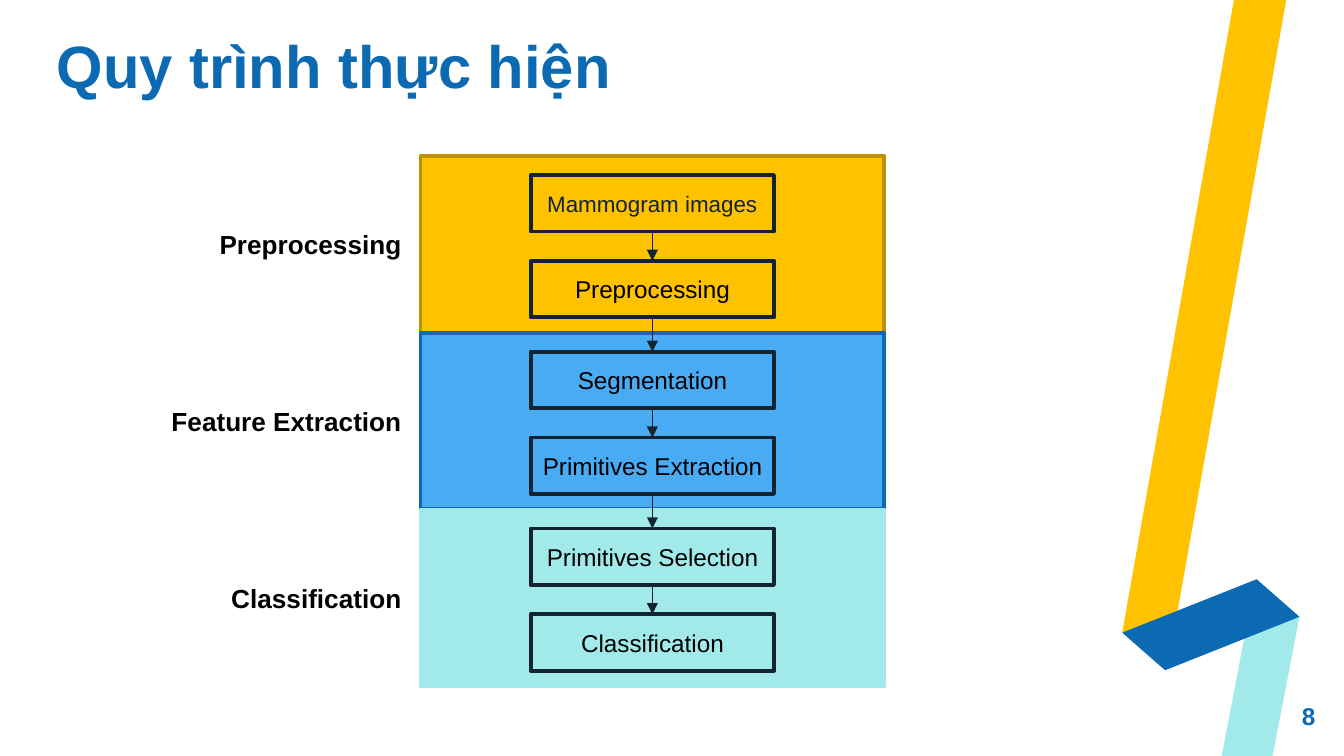
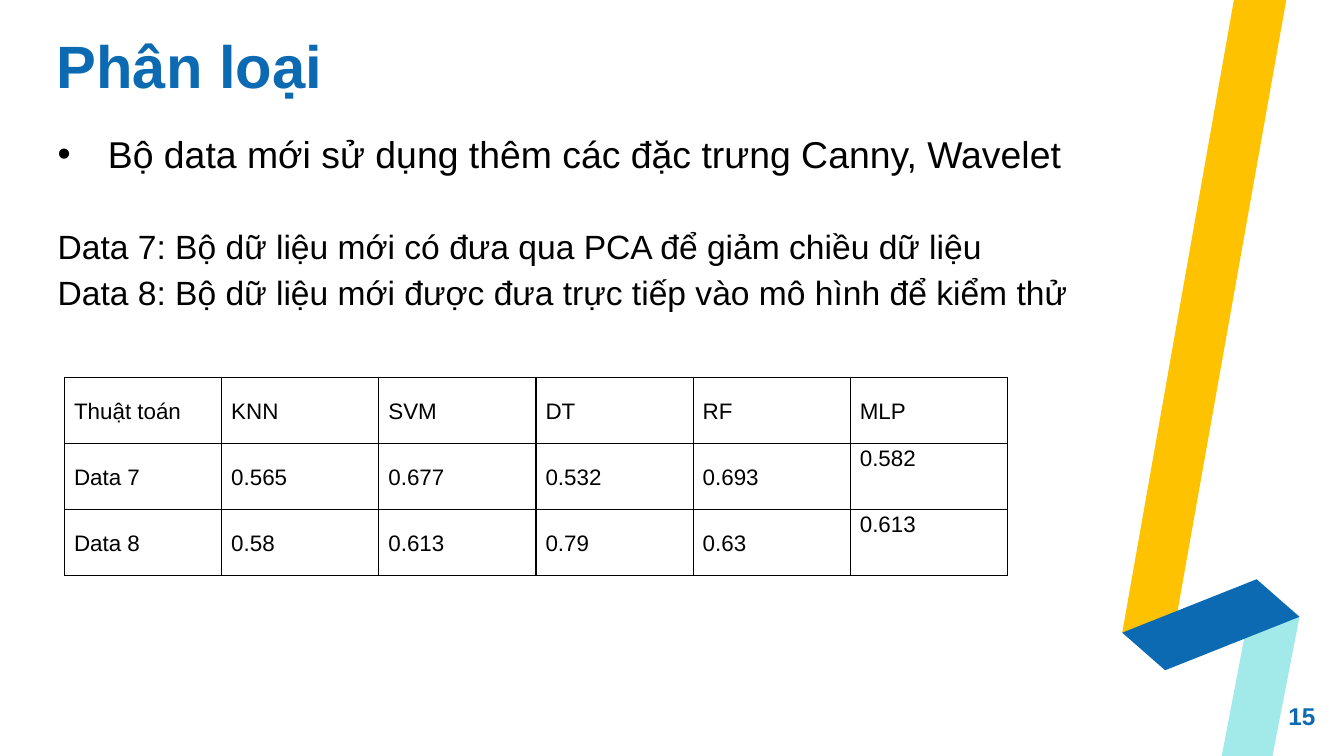
"""Builds two slides: a processing pipeline and a table of classification results."""
from collections import namedtuple

from lxml import etree
from pptx import Presentation
from pptx import util as u
from pptx.dml.color import RGBColor
from pptx.enum import shapes, text
from pptx.oxml import ns

COLORS = {
    "yellow": "FEC200", "ochre": "BC9000", "blue": "0B6AB1", "sky": "49ABF4",
    "aqua": "A2EAE9", "ink": "122431", "black": "000000",
}
FONT = "Arial"
ALIGN = text.PP_ALIGN
ANCHOR = text.MSO_ANCHOR
Box = namedtuple("Box", "x y w h")

SLIDE = Box(0, 0, 25.4, 14.29)
TITLE = Box(1.07, 0.81, 16.48, 1.09)
NUMBER = Box(23.34, 12.98, 1.52, 1.09)
RIBBON = Box(21.21, 0, 3.35, 14.29)
RIBBON_BANDS = [
    ("yellow", [(211, 0), (310, 0), (104, 1158), (0, 1196)]),
    ("aqua", [(188, 1429), (231, 1204), (335, 1166), (284, 1429)]),
    ("blue", [(0, 1196), (254, 1095), (335, 1166), (81, 1267)]),
]

PIPELINE = Box(2.97, 2.95, 13.74, 10.02)
STAGES = [
    ("Preprocessing", "yellow", "ochre",
     [("Mammogram images", 12, "ink"), ("Preprocessing", 13, "black")]),
    ("Feature Extraction", "sky", "blue",
     [("Segmentation", 13, "black"), ("Primitives Extraction", 13, "black")]),
    ("Classification", "aqua", "aqua",
     [("Primitives Selection", 13, "black"), ("Classification", 13, "black")]),
]

NOTES = Box(0.84, 2.36, 22.07, 4.1)
BULLET = "Bộ data mới sử dụng thêm các đặc trưng Canny, Wavelet"
DATASETS = [
    "Data 7: Bộ dữ liệu mới có đưa qua PCA để giảm chiều dữ liệu",
    "Data 8: Bộ dữ liệu mới được đưa trực tiếp vào mô hình để kiểm thử",
]
RESULTS = Box(1.22, 7.14, 17.82, 3.74)
SCORES = [
    ["Thuật toán", "KNN", "SVM", "DT", "RF", "MLP"],
    ["Data 7", "0.565", "0.677", "0.532", "0.693", "0.582"],
    ["Data 8", "0.58", "0.613", "0.79", "0.63", "0.613"],
]


def rgb(name):
    """Return a named colour."""
    return RGBColor.from_string(COLORS[name])


def emu(box):
    """Convert a box in centimetres to lengths."""
    return [u.Cm(v) for v in box]


def style(p, size, color="black", bold=False, align=ALIGN.LEFT, spacing=None):
    """Format a paragraph and its runs."""
    p.alignment = align
    p.line_spacing = spacing
    for r in p.runs:
        r.font.name, r.font.size, r.font.bold = FONT, u.Pt(size), bold
        r.font.color.rgb = rgb(color)


def set_frame(tf, anchor=ANCHOR.TOP, inset=0):
    """Set wrapping, anchor and equal insets of a text frame."""
    tf.word_wrap = True
    tf.vertical_anchor = anchor
    tf.margin_left = tf.margin_right = u.Cm(inset)
    tf.margin_top = tf.margin_bottom = u.Cm(inset / 2)


def add_text(s, box, content, anchor, *fmt, **kw):
    """Add a one-paragraph text box without insets."""
    tf = s.shapes.add_textbox(*emu(box)).text_frame
    set_frame(tf, anchor)
    tf.text = content
    style(tf.paragraphs[0], *fmt, **kw)


def add_rect(s, box, line, fill=None):
    """Add an outlined rectangle, filled if a colour is given."""
    sp = s.shapes.add_shape(shapes.MSO_SHAPE.RECTANGLE, *emu(box))
    sp.shadow.inherit = False
    if fill:
        sp.fill.solid()
        sp.fill.fore_color.rgb = rgb(fill)
    else:
        sp.fill.background()
    sp.line.color.rgb = rgb(line)
    sp.line.width = u.Pt(2)
    return sp


def add_arrow(s, start, end):
    """Join the bottom of one shape to the top of the next with an arrow."""
    c = s.shapes.add_connector(shapes.MSO_CONNECTOR.STRAIGHT, 0, 0, 0, 0)
    c.begin_connect(start, 2)
    c.end_connect(end, 0)
    c.line.color.rgb = rgb("ink")
    c.line.width = u.Pt(0.75)
    etree.SubElement(c.line._get_or_add_ln(), ns.qn("a:tailEnd"), type="triangle")
    etree.SubElement(c._element.spPr, ns.qn("a:effectLst"))


def add_ribbon(s, box):
    """Draw the folded ribbon along the right edge."""
    for color, points in RIBBON_BANDS:
        fb = s.shapes.build_freeform(*points[0], scale=u.Cm(0.01))
        fb.add_line_segments(points[1:], close=True)
        sp = fb.convert_to_shape(u.Cm(box.x), u.Cm(box.y))
        sp.shadow.inherit = False
        sp.fill.solid()
        sp.fill.fore_color.rgb = rgb(color)
        sp.line.fill.background()


def add_base(prs, title, number):
    """Add a slide with ribbon, title and number."""
    s = prs.slides.add_slide(prs.slide_layouts[6])
    add_ribbon(s, RIBBON)
    add_text(s, NUMBER, str(number), ANCHOR.MIDDLE, 13, "blue", True, align=ALIGN.RIGHT)
    add_text(s, TITLE, title, ANCHOR.BOTTOM, 32, "blue", True, spacing=0.8)
    return s


def add_pipeline(s, box):
    """Stack the stages, label them at the left and chain their steps."""
    stage_w, label_w, step_w, step_h = 8.76, 4.62, 4.6, 1.07
    stage_x = box.x + box.w - stage_w
    stage_h = box.h / len(STAGES)
    for i, (label, fill, line, _) in enumerate(STAGES):
        y = box.y + i * stage_h
        add_rect(s, Box(stage_x, y, stage_w, stage_h), line, fill)
        add_text(s, Box(box.x, y, label_w, stage_h), label, ANCHOR.MIDDLE,
                 14, bold=True, align=ALIGN.RIGHT)
    steps = []
    for i, stage in enumerate(STAGES):
        for offset, (name, size, color) in zip((0.36, 1.98), stage[-1]):
            sp = add_rect(s, Box(stage_x + (stage_w - step_w) / 2,
                                 box.y + i * stage_h + offset, step_w, step_h), "ink")
            set_frame(sp.text_frame, ANCHOR.MIDDLE)
            sp.text_frame.text = name
            style(sp.text_frame.paragraphs[0], size, color, align=ALIGN.CENTER)
            steps.append(sp)
    for start, end in zip(steps, steps[1:]):
        add_arrow(s, start, end)


def add_notes(s, box):
    """Write the bullet and the descriptions of the datasets."""
    tf = s.shapes.add_textbox(*emu(box)).text_frame
    set_frame(tf, inset=0.25)
    p = tf.paragraphs[0]
    p.text = BULLET
    style(p, 20)
    p.space_after = u.Pt(23)
    pPr = p._p.get_or_add_pPr()
    pPr.set("marL", str(u.Cm(0.95)))
    pPr.set("indent", str(-u.Cm(0.95)))
    etree.SubElement(pPr, ns.qn("a:buFont"), typeface=FONT)
    etree.SubElement(pPr, ns.qn("a:buChar"), char="•")
    for line in DATASETS:
        p = tf.add_paragraph()
        p.text = line
        style(p, 18, align=ALIGN.JUSTIFY, spacing=1.1)
        p.space_before = u.Pt(1.3)


def add_borders(cell):
    """Give a cell thin black borders."""
    tcPr = cell._tc.get_or_add_tcPr()
    for side in ("lnL", "lnR", "lnT", "lnB"):
        ln = etree.SubElement(tcPr, ns.qn(f"a:{side}"), w=str(u.Pt(0.75)))
        fill = etree.SubElement(ln, ns.qn("a:solidFill"))
        etree.SubElement(fill, ns.qn("a:srgbClr"), val=COLORS["black"])


def add_results(s, box):
    """Fill the table of scores."""
    rows, cols = len(SCORES), len(SCORES[0])
    table = s.shapes.add_table(rows, cols, *emu(box)).table
    table.first_row = table.horz_banding = False
    for col in table.columns:
        col.width = u.Cm(box.w / cols)
    for i, row in enumerate(SCORES):
        table.rows[i].height = u.Cm(box.h / rows)
        for j, value in enumerate(row):
            cell = table.cell(i, j)
            add_borders(cell)
            cell.fill.background()
            cell.margin_left = cell.margin_right = u.Cm(0.18)
            cell.margin_top = cell.margin_bottom = 0
            top = i > 0 and j == cols - 1
            cell.vertical_anchor = ANCHOR.TOP if top else ANCHOR.MIDDLE
            cell.text = value
            style(cell.text_frame.paragraphs[0], 12, align=ALIGN.JUSTIFY, spacing=1.1)


def main():
    """Build and save the slides."""
    prs = Presentation()
    prs.slide_width, prs.slide_height = emu(SLIDE)[2:]
    add_pipeline(add_base(prs, "Quy trình thực hiện", 8), PIPELINE)
    s = add_base(prs, "Phân loại", 15)
    add_notes(s, NOTES)
    add_results(s, RESULTS)
    prs.save("out.pptx")


if __name__ == "__main__":
    main()
